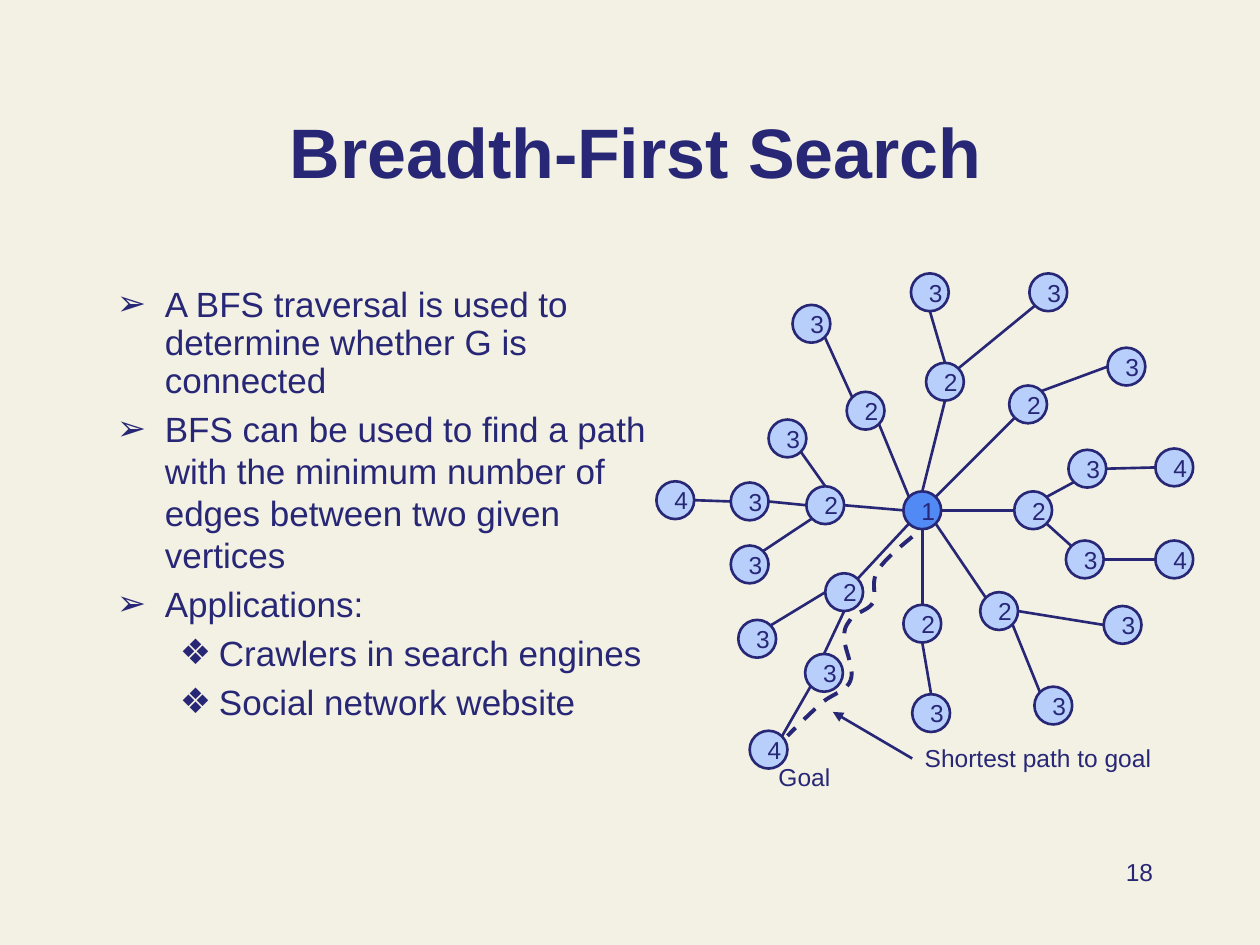
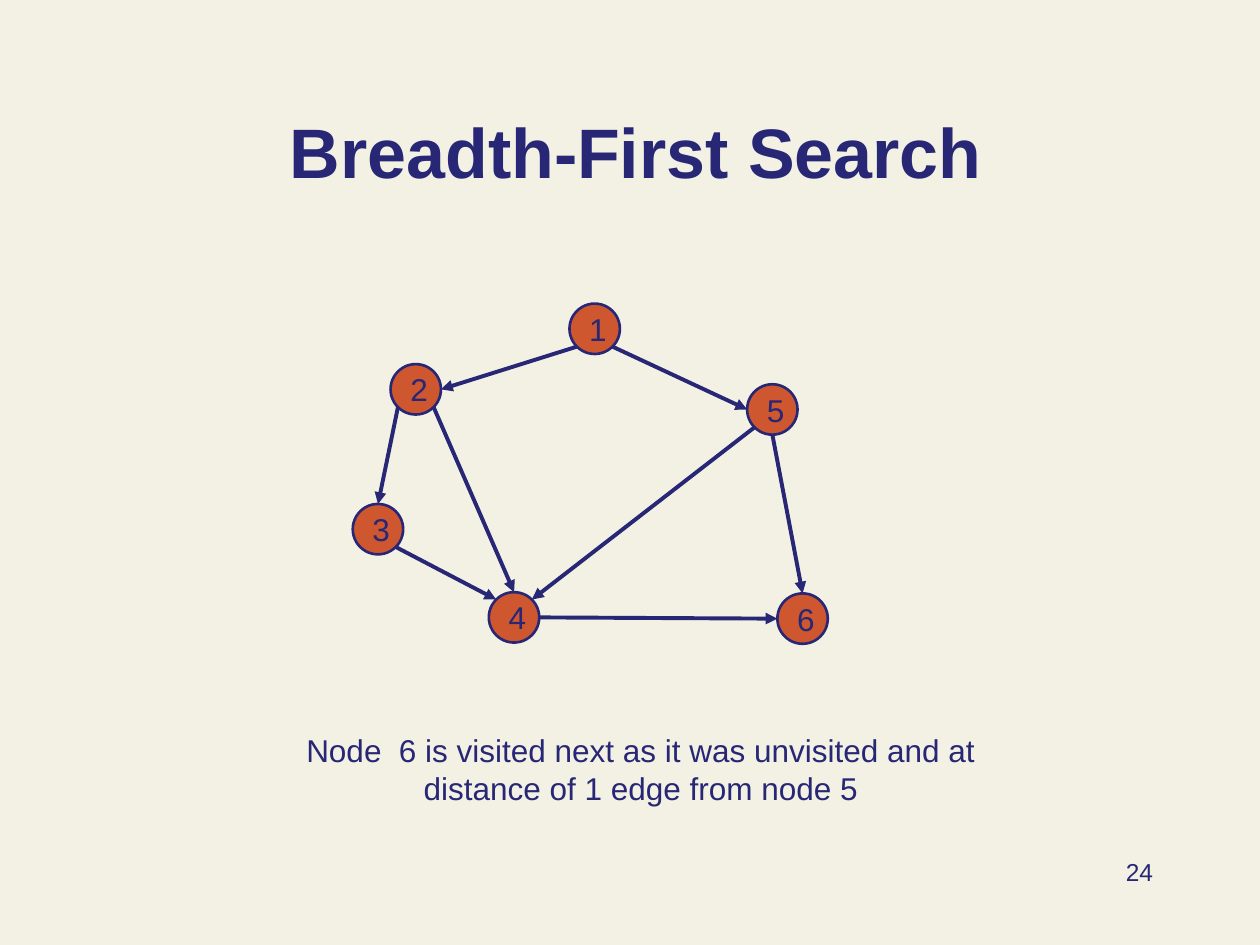
from dataclasses import dataclass
from math import sqrt

from lxml.etree import SubElement
from pptx import Presentation
from pptx.dml.color import RGBColor
from pptx.enum.dml import MSO_LINE
from pptx.enum.shapes import MSO_CONNECTOR, MSO_SHAPE
from pptx.enum.text import MSO_ANCHOR, PP_ALIGN
from pptx.oxml.ns import qn
from pptx.util import Inches, Pt


@dataclass(frozen=True)
class Theme:
    font: str = "Arial"
    background: RGBColor = RGBColor(0xF3, 0xF1, 0xE4)
    ink: RGBColor = RGBColor(0x27, 0x27, 0x76)
    root: RGBColor = RGBColor(0x51, 0x89, 0xF5)
    reached: RGBColor = RGBColor(0xB8, 0xCF, 0xFB)
    visited: RGBColor = RGBColor(0xCE, 0x57, 0x2F)
    title_size: int = 40
    body_size: int = 20
    caption_size: int = 18
    label_size: int = 14
    thin: float = 1.5
    thick: float = 2.25


DIAGONAL = 1 / sqrt(2)
SIDES = {
    "n": (0, -1), "s": (0, 1), "w": (-1, 0), "e": (1, 0),
    "nw": (-DIAGONAL, -DIAGONAL), "ne": (DIAGONAL, -DIAGONAL),
    "sw": (-DIAGONAL, DIAGONAL), "se": (DIAGONAL, DIAGONAL),
}

BULLETS = [
    (0, "A BFS traversal is used to determine whether G is connected", 0.9),
    (0, "BFS can be used to find a path with the minimum number of edges "
        "between two given vertices", 1.0),
    (0, "Applications:", 1.0),
    (1, "Crawlers in search engines", 1.0),
    (1, "Social network website", 1.0),
]
BULLET_LEVELS = [("➢", 0.38, -0.38), ("❖", 0.81, -0.31)]

# Each key extends its parent's key by one letter: left, top, parent side, own side.
TREE_NODE_SIZE = 0.3
TREE_ROOT = (7.17, 3.9)
TREE = {
    "a": (6.72, 3.11, "nw", "se"),
    "aa": (6.29, 2.42, "nw", "se"),
    "b": (7.35, 2.88, "n", "s"),
    "ba": (7.23, 2.17, "n", "s"),
    "bb": (8.17, 2.17, "ne", "sw"),
    "c": (8.01, 3.06, "ne", "sw"),
    "ca": (8.79, 2.76, "ne", "w"),
    "d": (8.05, 3.9, "e", "w"),
    "da": (8.48, 3.57, "ne", "sw"),
    "daa": (9.17, 3.56, "e", "w"),
    "db": (8.46, 4.29, "se", "nw"),
    "dba": (9.17, 4.29, "e", "w"),
    "e": (7.78, 4.7, "se", "nw"),
    "ea": (8.76, 4.81, "e", "w"),
    "eb": (8.21, 5.45, "se", "nw"),
    "f": (7.17, 4.8, "s", "n"),
    "fa": (7.24, 5.51, "s", "n"),
    "g": (6.55, 4.55, "sw", "ne"),
    "ga": (5.86, 4.92, "w", "ne"),
    "gb": (6.39, 5.19, "s", "n"),
    "gba": (5.95, 5.8, "sw", "ne"),
    "h": (6.4, 3.86, "w", "e"),
    "ha": (6.1, 3.33, "n", "se"),
    "hb": (5.8, 3.83, "w", "e"),
    "hba": (5.21, 3.82, "w", "e"),
    "hc": (5.8, 4.33, "sw", "ne"),
}
SHORTEST_PATH = [
    (7.24, 4.26), (7.12, 4.36), (7.01, 4.45), (6.96, 4.54),
    (6.91, 4.63), (6.96, 4.72), (6.93, 4.78),
    (6.9, 4.84), (6.8, 4.86), (6.76, 4.9),
    (6.73, 4.95), (6.7, 4.97), (6.7, 5.05),
    (6.69, 5.13), (6.79, 5.31), (6.75, 5.4),
    (6.72, 5.49), (6.59, 5.51), (6.51, 5.59),
    (6.43, 5.66), (6.34, 5.75), (6.25, 5.84),
]

GRAPH_NODE_SIZE = 0.4
GRAPH = {
    "1": (4.52, 2.41), "2": (3.1, 2.89), "3": (2.8, 4),
    "4": (3.88, 4.7), "5": (5.93, 3.05), "6": (6.17, 4.71),
}
GRAPH_EDGES = [
    ("1", "sw", "2", "e"), ("2", "sw", "3", "n"),
    ("2", "se", "4", "n"), ("3", "se", "4", "nw"),
    ("1", "se", "5", "w"), ("5", "sw", "4", "ne"),
    ("5", "s", "6", "n"), ("4", "e", "6", "w"),
]


def side_point(position, size, side):
    return tuple(start + size / 2 * (1 + step) for start, step in zip(position, SIDES[side]))


def curve_points(controls, steps=10):
    points = [controls[0]]
    for first in range(0, len(controls) - 1, 3):
        segment = controls[first:first + 4]
        for step in range(1, steps + 1):
            t = step / steps
            weights = ((1 - t) ** 3, 3 * t * (1 - t) ** 2, 3 * t ** 2 * (1 - t), t ** 3)
            points.append(tuple(
                sum(weight * point[axis] for weight, point in zip(weights, segment))
                for axis in (0, 1)
            ))
    return points


class Deck:
    def __init__(self, theme):
        self.theme = theme
        self.presentation = Presentation()
        self.presentation.slide_width = Inches(10)
        self.presentation.slide_height = Inches(7.5)
        fill = self.presentation.slide_master.background.fill
        fill.solid()
        fill.fore_color.rgb = theme.background
        self.slide = None

    def start_slide(self, title, number):
        self.slide = self.presentation.slides.add_slide(self.presentation.slide_layouts[6])
        self.text(title, 0.67, 0.33, 8.75, 1.25, self.theme.title_size,
                  PP_ALIGN.CENTER, MSO_ANCHOR.BOTTOM, True)
        self.text(str(number), 7.17, 6.75, 2.08, 0.5, self.theme.label_size, PP_ALIGN.RIGHT)

    def add_run(self, paragraph, text, size, bold=False):
        run = paragraph.add_run()
        run.text = text
        run.font.name = self.theme.font
        run.font.size = Pt(size)
        run.font.bold = bold
        run.font.color.rgb = self.theme.ink

    def text_frame(self, left, top, width, height):
        box = self.slide.shapes.add_textbox(
            Inches(left), Inches(top), Inches(width), Inches(height))
        box.text_frame.word_wrap = True
        return box.text_frame

    def text(self, text, left, top, width, height, size,
             align=PP_ALIGN.LEFT, anchor=MSO_ANCHOR.TOP, bold=False):
        frame = self.text_frame(left, top, width, height)
        frame.vertical_anchor = anchor
        paragraph = frame.paragraphs[0]
        paragraph.alignment = align
        self.add_run(paragraph, text, size, bold)

    def bullets(self, items, left, top, width, height):
        frame = self.text_frame(left, top, width, height)
        for index, (level, text, line_spacing) in enumerate(items):
            paragraph = frame.add_paragraph() if index else frame.paragraphs[0]
            paragraph.level = level
            paragraph.line_spacing = line_spacing
            paragraph.space_before = Pt(4 if index else 0)
            self.add_run(paragraph, text, self.theme.body_size)
            symbol, margin, indent = BULLET_LEVELS[level]
            properties = paragraph._p.get_or_add_pPr()
            properties.set("marL", str(Inches(margin)))
            properties.set("indent", str(Inches(indent)))
            color = SubElement(properties, qn("a:buClr"))
            SubElement(color, qn("a:srgbClr"), val=str(self.theme.ink))
            SubElement(properties, qn("a:buFont"), typeface=self.theme.font)
            SubElement(properties, qn("a:buChar"), char=symbol)

    def stroke(self, line, width):
        line.color.rgb = self.theme.ink
        line.width = Pt(width)

    def node(self, label, position, size, color, text_size):
        left, top = position
        shape = self.slide.shapes.add_shape(
            MSO_SHAPE.OVAL, Inches(left), Inches(top), Inches(size), Inches(size))
        shape.shadow.inherit = False
        shape.fill.solid()
        shape.fill.fore_color.rgb = color
        self.stroke(shape.line, self.theme.thin)
        frame = shape.text_frame
        frame.word_wrap = True
        frame.vertical_anchor = MSO_ANCHOR.MIDDLE
        paragraph = frame.paragraphs[0]
        paragraph.alignment = PP_ALIGN.LEFT
        self.add_run(paragraph, label, text_size)

    def line(self, start, end, width, arrow=False):
        connector = self.slide.shapes.add_connector(
            MSO_CONNECTOR.STRAIGHT, *(Inches(value) for value in (*start, *end)))
        self.stroke(connector.line, width)
        if arrow:
            SubElement(connector.line._get_or_add_ln(), qn("a:tailEnd"), type="triangle")
        SubElement(connector._element.spPr, qn("a:effectLst"))

    def dashed_curve(self, controls):
        points = [(Inches(x), Inches(y)) for x, y in curve_points(controls)]
        builder = self.slide.shapes.build_freeform(*points[0])
        builder.add_line_segments(points[1:], close=False)
        shape = builder.convert_to_shape()
        shape.shadow.inherit = False
        shape.fill.background()
        self.stroke(shape.line, self.theme.thick)
        shape.line.dash_style = MSO_LINE.DASH


def add_search_tree_slide(deck):
    theme = deck.theme
    deck.start_slide("Breadth-First Search", 18)
    deck.bullets(BULLETS, 0.83, 2.23, 4.5, 4.68)
    positions = {"": TREE_ROOT, **{key: entry[:2] for key, entry in TREE.items()}}
    for key, position in positions.items():
        deck.node(str(len(key) + 1), position, TREE_NODE_SIZE,
                  theme.reached if key else theme.root, theme.label_size)
    for key, (left, top, parent_side, own_side) in TREE.items():
        deck.line(side_point(positions[key[:-1]], TREE_NODE_SIZE, parent_side),
                  side_point((left, top), TREE_NODE_SIZE, own_side), theme.thin)
    deck.text("Goal", 6.08, 6, 0.62, 0.34, theme.label_size)
    deck.dashed_curve(SHORTEST_PATH)
    deck.text("Shortest path to goal", 7.24, 5.85, 2.01, 0.34, theme.label_size)
    deck.line((7.24, 6.02), (6.61, 5.65), theme.thin, arrow=True)


def add_visit_order_slide(deck):
    theme = deck.theme
    deck.start_slide("Breadth-First Search", 24)
    for label, position in GRAPH.items():
        deck.node(label, position, GRAPH_NODE_SIZE, theme.visited, theme.caption_size)
    deck.text("Node  6 is visited next as it was unvisited and at distance of 1 edge from node 5",
              2.25, 5.75, 5.67, 0.71, theme.caption_size, PP_ALIGN.CENTER)
    for source, source_side, target, target_side in GRAPH_EDGES:
        deck.line(side_point(GRAPH[source], GRAPH_NODE_SIZE, source_side),
                  side_point(GRAPH[target], GRAPH_NODE_SIZE, target_side),
                  theme.thick, arrow=True)


def main():
    deck = Deck(Theme())
    add_search_tree_slide(deck)
    add_visit_order_slide(deck)
    deck.presentation.save("out.pptx")


if __name__ == "__main__":
    main()
